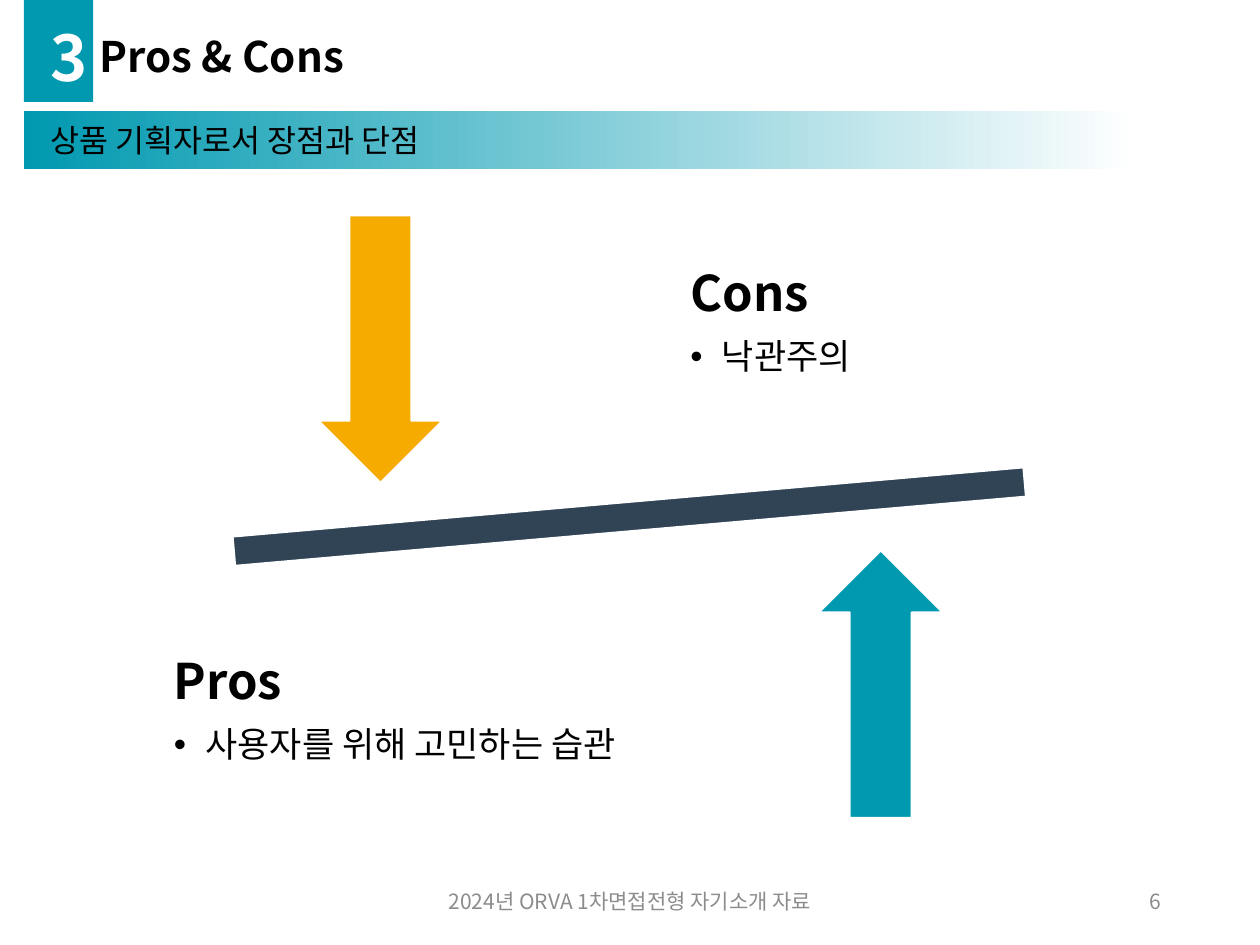
from lxml import etree
from pptx import Presentation
from pptx.dml.color import RGBColor
from pptx.enum import shapes, text
from pptx.oxml.ns import qn
from pptx.util import Inches, Pt

COLORS = {
    "teal": "0099B0", "amber": "F6AB00", "navy": "314456",
    "white": "FFFFFF", "black": "000000", "gray": "8C8C8C",
}
SHAPE = shapes.MSO_SHAPE
ALIGN = text.PP_ALIGN


def rgb(name):
    return RGBColor.from_string(COLORS[name])


class SlideBuilder:
    font = "Noto Sans CJK KR"

    def __init__(self, slide):
        self.slide = slide

    def place(self, sp, box):
        sp.left, sp.top, sp.width, sp.height = map(Inches, box)

    def style(self, p, size, color="black", bold=False, align=ALIGN.LEFT):
        p.alignment = align
        for r in p.runs:
            r.font.size, r.font.bold, r.font.name = Pt(size), bold, self.font
            r.font.color.rgb = rgb(color)
            ea = etree.SubElement(r.font._element, qn("a:ea"))
            ea.set("typeface", self.font)

    def shape(self, kind, box, fill, line=None, rotation=0):
        sp = self.slide.shapes.add_shape(kind, *map(Inches, box))
        sp.shadow.inherit = False
        sp.rotation = rotation
        sp.fill.solid()
        sp.fill.fore_color.rgb = rgb(fill)
        if line:
            sp.line.color.rgb = rgb(line)
            sp.line.width = Pt(1)
        else:
            sp.line.fill.background()
        return sp

    def fading_bar(self, box):
        sp = self.shape(SHAPE.RECTANGLE, box, "teal")
        sp.fill.gradient()
        sp.fill.gradient_angle = 0
        stops = zip(sp.fill.gradient_stops, (0, 0.97), ("teal", "white"))
        for stop, position, color in stops:
            stop.position = position
            stop.color.rgb = rgb(color)

    def title(self, words, box):
        sp = self.slide.shapes.title
        self.place(sp, box)
        tf = sp.text_frame
        tf.text = words
        tf.auto_size = text.MSO_AUTO_SIZE.NONE
        tf.vertical_anchor = text.MSO_ANCHOR.MIDDLE
        tf.paragraphs[0].line_spacing = 0.9
        self.style(tf.paragraphs[0], 24, bold=True)

    def label(self, words, box, size, anchor=text.MSO_ANCHOR.TOP, **look):
        sp = self.slide.shapes.add_textbox(*map(Inches, box))
        tf = sp.text_frame
        tf.text = words
        tf.word_wrap = True
        tf.vertical_anchor = anchor
        self.style(tf.paragraphs[0], size, **look)

    def bullet(self, p, char=None, indent=0):
        pPr = p._p.get_or_add_pPr()
        pPr.set("marL", str(Inches(indent)))
        pPr.set("indent", str(-Inches(indent)))
        if char:
            etree.SubElement(pPr, qn("a:buChar")).set("char", char)
        else:
            etree.SubElement(pPr, qn("a:buNone"))

    def point_list(self, index, heading, items, box):
        sp = self.slide.placeholders[index]
        self.place(sp, box)
        tf = sp.text_frame
        tf.auto_size = text.MSO_AUTO_SIZE.NONE
        tf.vertical_anchor = text.MSO_ANCHOR.MIDDLE
        tf.margin_left = tf.margin_right = Inches(0.22)
        tf.margin_top = tf.margin_bottom = Inches(0.22)
        tf.text = "\n".join([heading, *items])
        for i, p in enumerate(tf.paragraphs):
            p.line_spacing = 0.9
            p.space_before = Pt(0)
            if i == 0:
                p.space_after = Pt(9.8)
                self.bullet(p)
                self.style(p, 28, bold=True)
            else:
                p.level = 1
                p.space_after = Pt(3)
                self.bullet(p, "•", 0.25)
                self.style(p, 20)


def main():
    prs = Presentation()
    prs.slide_width, prs.slide_height = Inches(10), Inches(7.5)
    s = SlideBuilder(prs.slides.add_slide(prs.slide_layouts[3]))

    # Header: number tab, fading band, title and subtitle
    s.shape(SHAPE.RECTANGLE, (0.19, 0, 0.55, 0.81), "teal")
    for top in (1.05, 0.88):
        s.fading_bar((0.19, top, 9.12, 0.29))
    s.title("Pros & Cons", (0.69, -0.26, 8.62, 1.45))
    s.label("상품 기획자로서 장점과 단점", (0.3, 0.91, 5, 0.4), 18)
    s.label("3", (0.3, 0.1, 0.34, 0.71), 36, color="white", bold=True,
            align=ALIGN.CENTER)

    # Tilted beam with opposing arrows
    s.shape(SHAPE.MATH_MINUS, (0.71, 3.61, 8.57, 0.98), "navy", "white", 355)
    s.shape(SHAPE.DOWN_ARROW, (2.53, 1.71, 0.98, 2.12), "amber", "white")
    s.shape(SHAPE.UP_ARROW, (6.5, 4.37, 0.98, 2.12), "teal", "white")

    # Lists on either side of the beam
    s.point_list(1, "Cons", ["낙관주의"], (5.26, 1.45, 2.76, 2.23))
    s.point_list(2, "Pros", ["사용자를 위해 고민하는 습관"],
                 (1.16, 4.53, 4.41, 2.23))

    # Footer and page number
    middle = text.MSO_ANCHOR.MIDDLE
    s.label("2024년 ORVA 1차면접전형 자기소개 자료", (3.31, 6.95, 3.38, 0.4), 12,
            middle, color="gray", align=ALIGN.CENTER)
    s.label("6", (7.06, 6.95, 2.25, 0.4), 12, middle, color="gray",
            align=ALIGN.RIGHT)

    prs.save("out.pptx")


if __name__ == "__main__":
    main()
